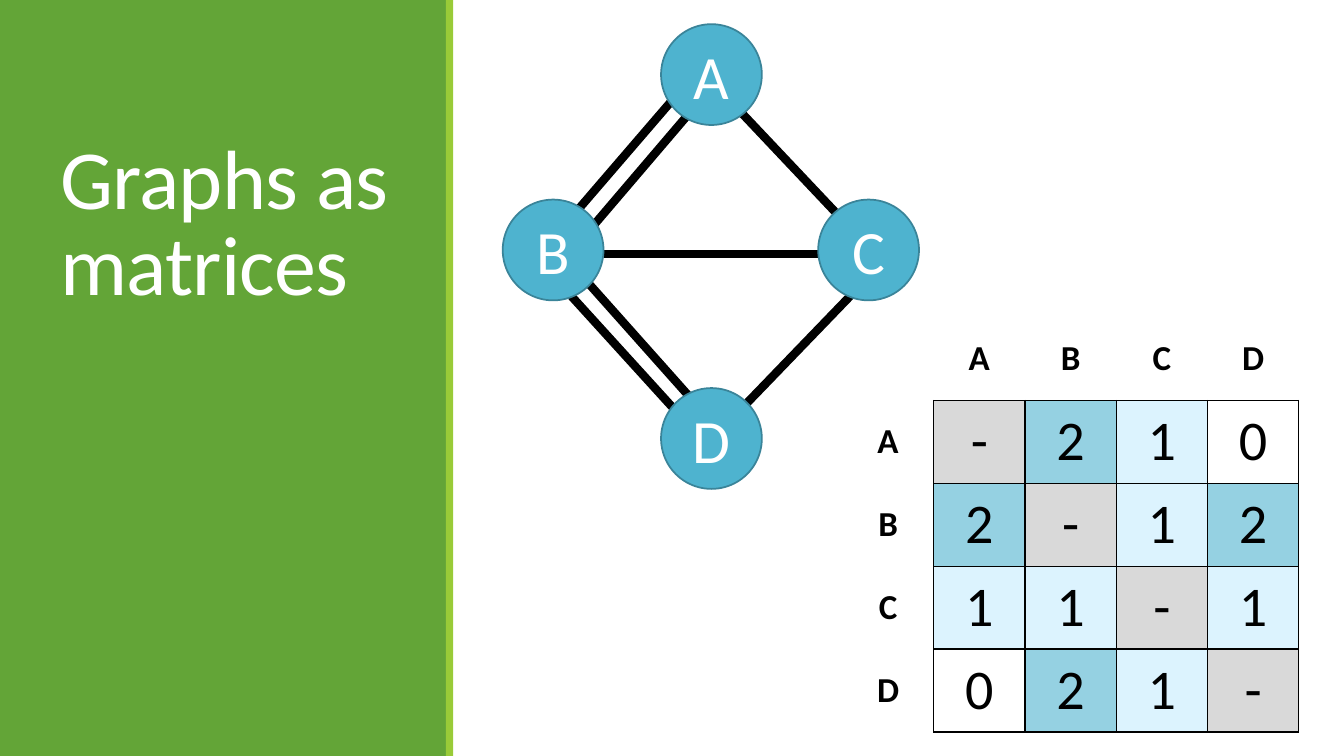
from lxml.etree import SubElement
from pptx import Presentation
from pptx.dml.color import RGBColor
from pptx.enum.shapes import MSO_CONNECTOR as Connector, MSO_SHAPE as Shape
from pptx.enum.text import MSO_ANCHOR as Anchor, PP_ALIGN as Align
from pptx.oxml import parse_xml
from pptx.oxml.ns import nsdecls, qn
from pptx.util import Cm, Pt

GREEN = RGBColor(0x63, 0xA5, 0x37)
LIME = RGBColor(0x99, 0xCB, 0x38)
BLUE = RGBColor(0x4E, 0xB3, 0xCF)
DARK_BLUE = RGBColor(0x3A, 0x84, 0x99)
MID_BLUE = RGBColor(0x95, 0xD1, 0xE2)
PALE_BLUE = RGBColor(0xDC, 0xF3, 0xFE)
GREY = RGBColor(0xD9, 0xD9, 0xD9)
WHITE = RGBColor(0xFF, 0xFF, 0xFF)
BLACK = RGBColor(0x00, 0x00, 0x00)
NO_GRID_STYLE = "{2D5ABB26-0587-4C30-8999-92F81FD0307C}"


def write(frame, text, size, color, bold=False, align=Align.CENTER, anchor=Anchor.MIDDLE):
    frame.word_wrap = True
    frame.vertical_anchor = anchor
    paragraph = frame.paragraphs[0]
    paragraph.alignment = align
    run = paragraph.add_run()
    run.text = text
    run.font.color.rgb = color
    for name, value in {"name": "Calibri", "size": Pt(size), "bold": bold}.items():
        setattr(run.font, name, value)
    return paragraph


def add_filled(kind, left, top, width, height, color):
    shape = slide.shapes.add_shape(kind, Cm(left), Cm(top), Cm(width), Cm(height))
    shape.shadow.inherit = False
    shape.fill.solid()
    shape.fill.fore_color.rgb = color
    shape.line.fill.background()
    return shape


presentation = Presentation()
presentation.slide_width = Cm(33.87)
presentation.slide_height = Cm(19.05)
slide = presentation.slides.add_slide(presentation.slide_layouts[6])

add_filled(Shape.RECTANGLE, 0, 0, 11.25, 19.05, GREEN)
add_filled(Shape.RECTANGLE, 11.24, 0, 0.18, 19.05, LIME)

title = slide.shapes.add_textbox(Cm(1.27), Cm(1.65), Cm(8.89), Cm(6.35))
heading = write(title.text_frame, "Graphs as matrices", 60, WHITE,
                align=Align.LEFT, anchor=Anchor.BOTTOM)
heading.line_spacing = 0.85
heading.runs[0].font._element.set("spc", "-50")

edges = [
    (14.33, 5.56, 17.04, 2.41),
    (14.71, 5.97, 17.4, 2.82),
    (21.16, 5.46, 18.59, 2.74),
    (16.99, 10.31, 14.27, 7.32),
    (17.45, 10.08, 14.76, 7.06),
    (18.82, 10.16, 21.56, 7.32),
    (21.01, 6.4, 14.96, 6.4),
]
for edge in edges:
    connector = slide.shapes.add_connector(Connector.STRAIGHT, *map(Cm, edge))
    connector.line.color.rgb = BLACK
    connector.line.width = Pt(6)
    SubElement(connector._element.spPr, qn("a:effectLst"))

nodes = {"A": (16.66, 0.61), "D": (16.66, 9.78), "B": (12.67, 5.03), "C": (20.62, 5.03)}
for label, (left, top) in nodes.items():
    node = add_filled(Shape.OVAL, left, top, 2.54, 2.54, BLUE)
    node.line.color.rgb = DARK_BLUE
    node.line.width = Pt(1.25)
    write(node.text_frame, label, 44, WHITE)

rows = [
    " ABCD",
    "A-210",
    "B2-12",
    "C11-1",
    "D021-",
]
value_fills = {"-": GREY, "2": MID_BLUE, "1": PALE_BLUE}
cell_format = {
    "margin_left": Cm(0.36),
    "margin_right": Cm(0.36),
    "margin_top": Cm(0.18),
    "margin_bottom": Cm(0.18),
    "vertical_anchor": Anchor.MIDDLE,
}
matrix = slide.shapes.add_table(5, 5, Cm(21.23), Cm(8), Cm(11.5), Cm(10.45)).table
matrix.first_row = False
matrix.horz_banding = False
matrix._tbl.tblPr.find(qn("a:tableStyleId")).text = NO_GRID_STYLE

for row, values in enumerate(rows):
    for column, value in enumerate(values):
        cell = matrix.cell(row, column)
        is_header = row == 0 or column == 0
        if value != " ":
            write(cell.text_frame, value, 25 if is_header else 40, BLACK, is_header)
        for name, setting in cell_format.items():
            setattr(cell, name, setting)

        sides = ["lnL", "lnR", "lnT", "lnB"]
        if is_header:
            sides = ["lnB"] * (column > 0) + ["lnR"] * (row > 0)
        for side in sides:
            cell._tc.get_or_add_tcPr().append(parse_xml(
                f'<a:{side} {nsdecls("a")} w="12700"><a:solidFill>'
                f'<a:srgbClr val="{BLACK}"/></a:solidFill></a:{side}>'))

        if value in value_fills:
            cell.fill.solid()
            cell.fill.fore_color.rgb = value_fills[value]
        else:
            cell.fill.background()

presentation.save("out.pptx")
